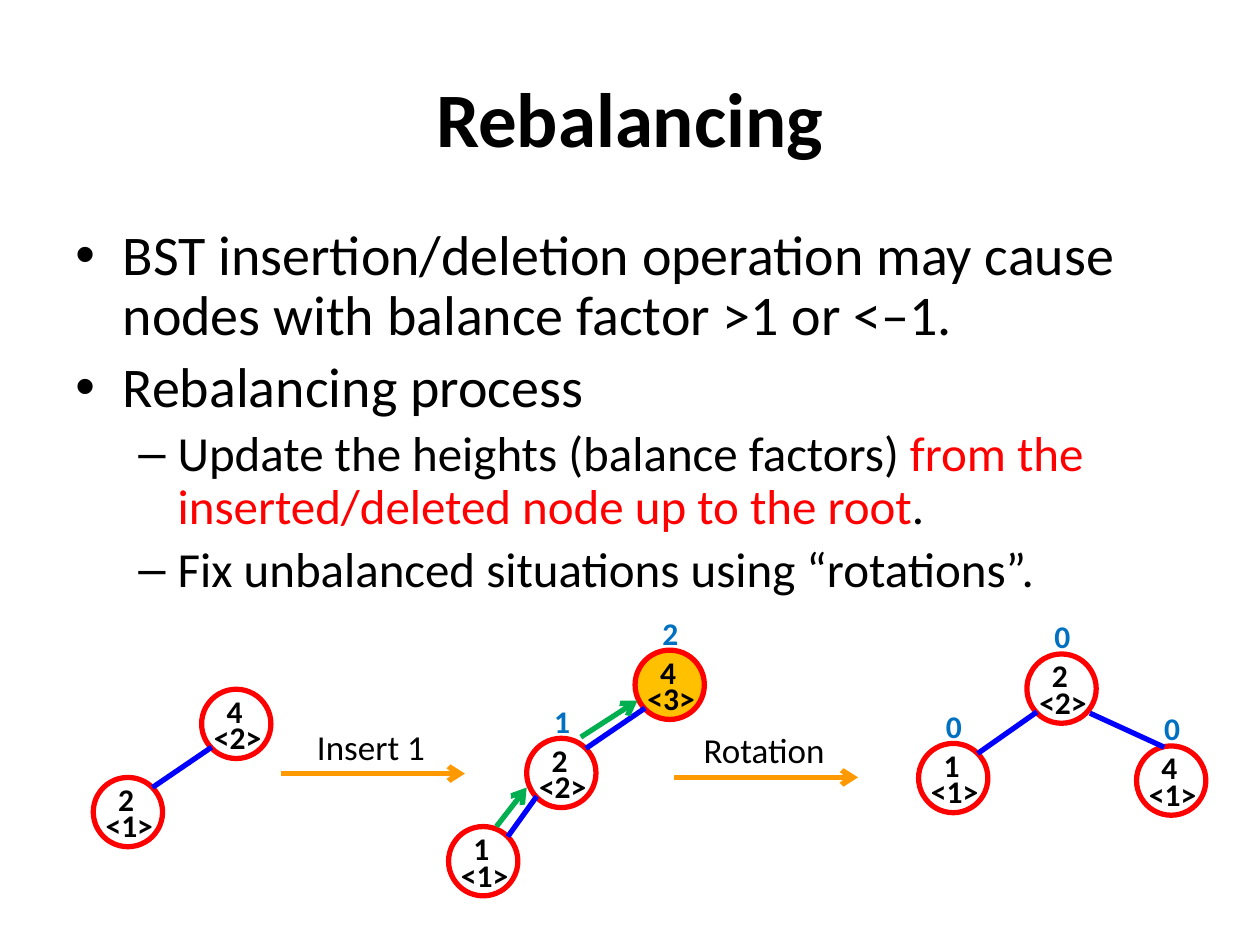
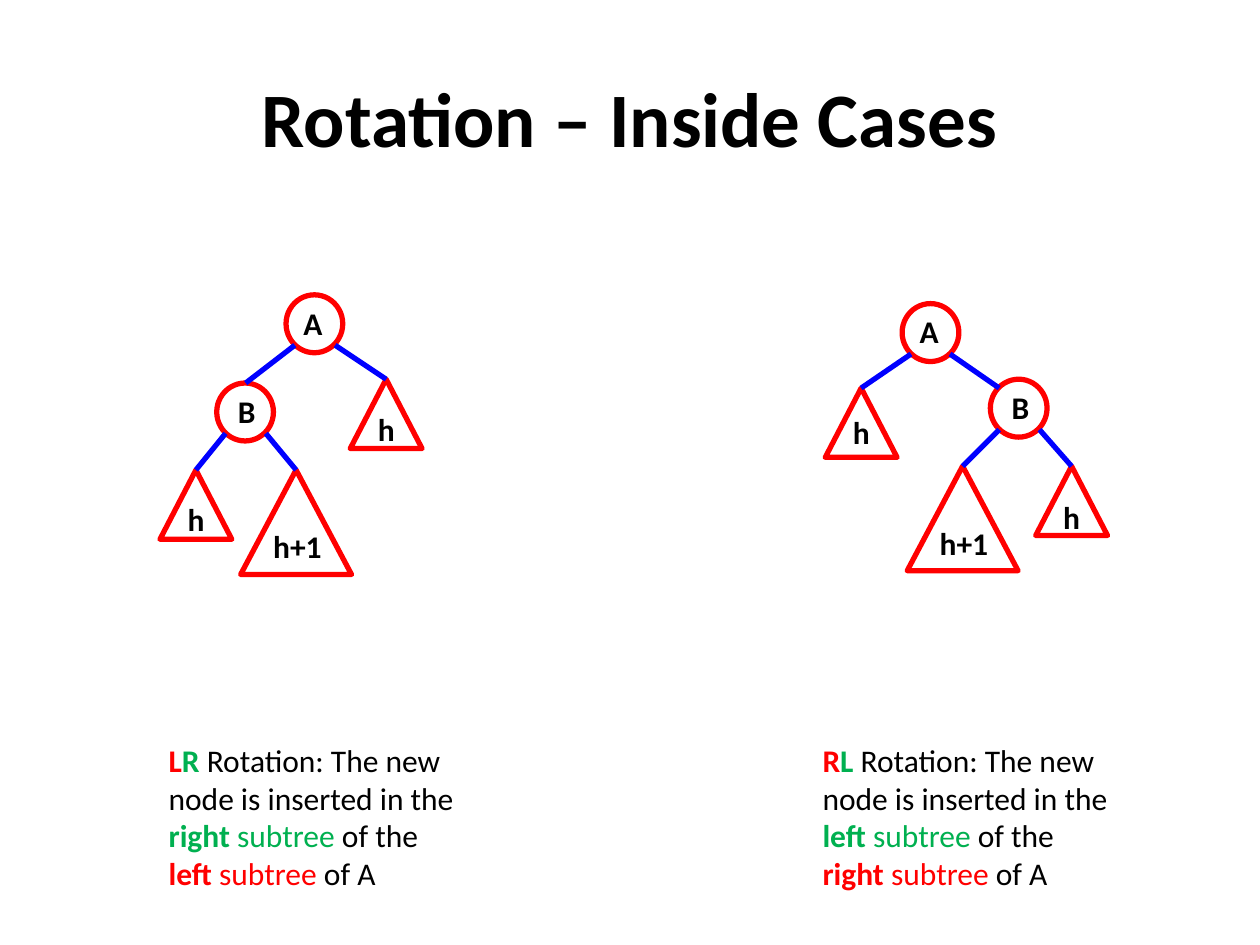
"""Build two slides on rebalancing binary search trees with rotations."""
from dataclasses import dataclass

from lxml.etree import SubElement
from pptx import Presentation
from pptx.dml.color import RGBColor
from pptx.enum.shapes import MSO_CONNECTOR, MSO_SHAPE
from pptx.enum.text import MSO_ANCHOR, PP_ALIGN
from pptx.oxml.ns import qn
from pptx.util import Inches, Pt


@dataclass(frozen=True)
class Theme:
    font: str = "Calibri"
    ink: str = "000000"
    red: str = "FF0000"
    green: str = "00B050"
    edge: str = "0000FF"
    step: str = "FF9900"
    alert: str = "FFC000"
    balance: str = "0070C0"
    title: int = 44
    point: int = 32
    subpoint: int = 28
    action: int = 20
    label: int = 18
    stroke: int = 3


theme = Theme()
deck = Presentation()
deck.slide_width, deck.slide_height = Inches(10), Inches(7.5)
COL, ROW = deck.slide_width / 100, deck.slide_height / 75
LEVELS = (("•", theme.point, 3.75, -3.75), ("–", theme.subpoint, 8.12, -3.12))


def write(slide, text, x, y, w=7.4, h=6.1, size=theme.label, color=theme.ink, bold=False,
          align=PP_ALIGN.LEFT, anchor=MSO_ANCHOR.TOP, pad=1.5, levels=()):
    """Place a string, or paragraphs made of (text, color, bold) runs, in grid cells."""
    frame = slide.shapes.add_textbox(round(x * COL), round(y * ROW), round(w * COL), round(h * ROW)).text_frame
    frame.word_wrap = True
    frame.vertical_anchor = anchor
    frame.margin_top = frame.margin_bottom = round(pad * ROW)
    paragraphs = [[(text, color, bold)]] if isinstance(text, str) else text
    for i, runs in enumerate(paragraphs):
        paragraph = frame.add_paragraph() if i else frame.paragraphs[0]
        paragraph.alignment = align
        if levels:
            mark, size, left, hang = LEVELS[levels[i]]
            paragraph.line_spacing = 0.9
            paragraph.space_before = Pt(size * 0.2 if i else 0)
            properties = paragraph._p.get_or_add_pPr()
            properties.set("marL", str(round(left * COL)))
            properties.set("indent", str(round(hang * COL)))
            SubElement(properties, qn("a:buFont"), typeface="Arial")
            SubElement(properties, qn("a:buChar"), char=mark)
        for words, run_color, run_bold in runs:
            run = paragraph.add_run()
            run.text = words
            run.font.name, run.font.size, run.font.bold = theme.font, Pt(size), run_bold
            run.font.color.rgb = RGBColor.from_string(run_color)


def join(slide, start, end, color=theme.edge, arrow=False):
    """Draw a straight line between two grid points, with an arrowhead if asked."""
    line = slide.shapes.add_connector(MSO_CONNECTOR.STRAIGHT, round(start[0] * COL), round(start[1] * ROW),
                                      round(end[0] * COL), round(end[1] * ROW))
    line.line.color.rgb = RGBColor.from_string(color)
    line.line.width = Pt(theme.stroke)
    if arrow:
        SubElement(line.line._get_or_add_ln(), qn("a:tailEnd"), type="arrow")
    SubElement(line._element.spPr, qn("a:effectLst"))
    return line


rebalancing, inside_cases = [deck.slides.add_slide(deck.slide_layouts[6]) for _ in range(2)]
for slide, heading in ((rebalancing, "Rebalancing"), (inside_cases, "Rotation – Inside Cases")):
    write(slide, heading, 5, 3, 90, 12.5, size=theme.title, bold=True, align=PP_ALIGN.CENTER,
          anchor=MSO_ANCHOR.MIDDLE, pad=0.5)

process = [
    [("BST insertion/deletion operation may cause nodes with balance factor >1 or <–1.", theme.ink, False)],
    [("Rebalancing process", theme.ink, False)],
    [("Update the heights (balance factors) ", theme.ink, False),
     ("from the inserted/deleted node up to the root", theme.red, False), (".", theme.ink, False)],
    [("Fix unbalanced situations using “rotations”.", theme.ink, False)],
]
write(rebalancing, process, 5, 17.5, 90, 31.6, pad=0.5, levels=(0, 0, 1, 1))

outlines = []
NODE = 5.5
tree_nodes = [
    ("4", "<2>", "", 16, 54.7), ("2", "<1>", "", 7.4, 61.7),
    ("4", "<3>", "2", 50.4, 51.6), ("2", "<2>", "1", 41.8, 58.6), ("1", "<1>", "", 35.6, 65.6),
    ("2", "<2>", "0", 81.5, 51.9), ("1", "<1>", "0", 72.9, 59), ("4", "<1>", "0", 90.2, 59.2),
]
for key, height, balance, x, y in tree_nodes:
    outlines.append((rebalancing.shapes.add_shape(MSO_SHAPE.OVAL, round(x * COL), round(y * ROW),
                                                  round(NODE * COL), round(NODE * ROW)),
                     theme.alert if height == "<3>" else None))
    write(rebalancing, key, x + 1, y - 1.3, bold=True)
    write(rebalancing, height, x, y + 0.8, bold=True)
    if balance:
        write(rebalancing, balance, x + 1.2, y - 4.4, color=theme.balance, bold=True)

for child, parent in ((1, 0), (3, 2), (4, 3), (6, 5)):
    (child_x, child_y), (parent_x, parent_y) = tree_nodes[child][3:], tree_nodes[parent][3:]
    join(rebalancing, (child_x + 4.7, child_y + 0.8), (parent_x + 0.8, parent_y + 4.6))
join(rebalancing, (92.4, 59.3), (86.5, 56.6))
for start, end in (((39.4, 65.6), (41.8, 62.5)), ((46.1, 58.5), (50.6, 55.6))):
    join(rebalancing, start, end, theme.green, arrow=True)
for action, x, y in (("Insert 1", 22.3, 61.4), ("Rotation", 53.5, 61.7)):
    write(rebalancing, action, x - 7.7, y - 5.35, 29.7, 6.4, size=theme.action, align=PP_ALIGN.CENTER)
    join(rebalancing, (x, y), (x + 14.6, y), theme.step, arrow=True)

ROOT_W, ROOT_H = 4.5, 4.6
roots = [("A", 22.7, 23.4), ("B", 17.2, 30.4), ("A", 71.6, 24.1), ("B", 78.6, 30.1)]
for name, x, y in roots:
    outlines.append((inside_cases.shapes.add_shape(MSO_SHAPE.OVAL, round(x * COL), round(y * ROW),
                                                   round(ROOT_W * COL), round(ROOT_H * ROW)), None))
    write(inside_cases, name, x + (0.4 if name == "A" else 0.7), y - 0.8, bold=True)
join(inside_cases, (19.5, 30.4), (23.4, 27.4))
join(inside_cases, (79.3, 30.8), (75.4, 28.1))

SUBTREES = {"h": (5.7, 5.5, 1.2), "h+1": (8.8, 8.3, 1.6)}
subtrees = [
    ("h", 27.8, 30.1, 0.9, 0), ("h", 12.7, 37.3, 0.9, 1), ("h+1", 19.1, 37.3, 3, 1),
    ("h", 65.5, 30.8, 0.5, 2), ("h+1", 72, 37, 3.1, 3), ("h", 82.2, 37, 1, 3),
]
for depth, x, y, drop, root in subtrees:
    w, h, shift = SUBTREES[depth]
    subtree = inside_cases.shapes.add_shape(MSO_SHAPE.ISOSCELES_TRIANGLE, round(x * COL), round(y * ROW),
                                            round(w * COL), round(h * ROW))
    outlines.append((subtree, None))
    write(inside_cases, depth, x + shift, y + drop, bold=True)
    _, root_x, root_y = roots[root]
    apex = x + w / 2
    side = 0.7 if apex < root_x + ROOT_W / 2 else 3.9
    join(inside_cases, (apex, y), (root_x + side, root_y + 4)).begin_connect(subtree, 0)

for outline, fill in outlines:
    outline.shadow.inherit = False
    outline.line.color.rgb = RGBColor.from_string(theme.red)
    outline.line.width = Pt(theme.stroke)
    if fill:
        outline.fill.solid()
        outline.fill.fore_color.rgb = RGBColor.from_string(fill)
    else:
        outline.fill.background()

for x, outer, inner in ((12.4, "left", "right"), (64.3, "right", "left")):
    rule = [
        (outer[0].upper(), theme.red, True), (inner[0].upper(), theme.green, True),
        (" Rotation: The new node is inserted in the ", theme.ink, False),
        (inner, theme.green, True), (" subtree", theme.green, False), (" of the ", theme.ink, False),
        (outer, theme.red, True), (" subtree", theme.red, False), (" of A", theme.ink, False),
    ]
    write(inside_cases, [rule], x, 58.3, 25, 13.1, pad=0.5)

deck.save("out.pptx")
